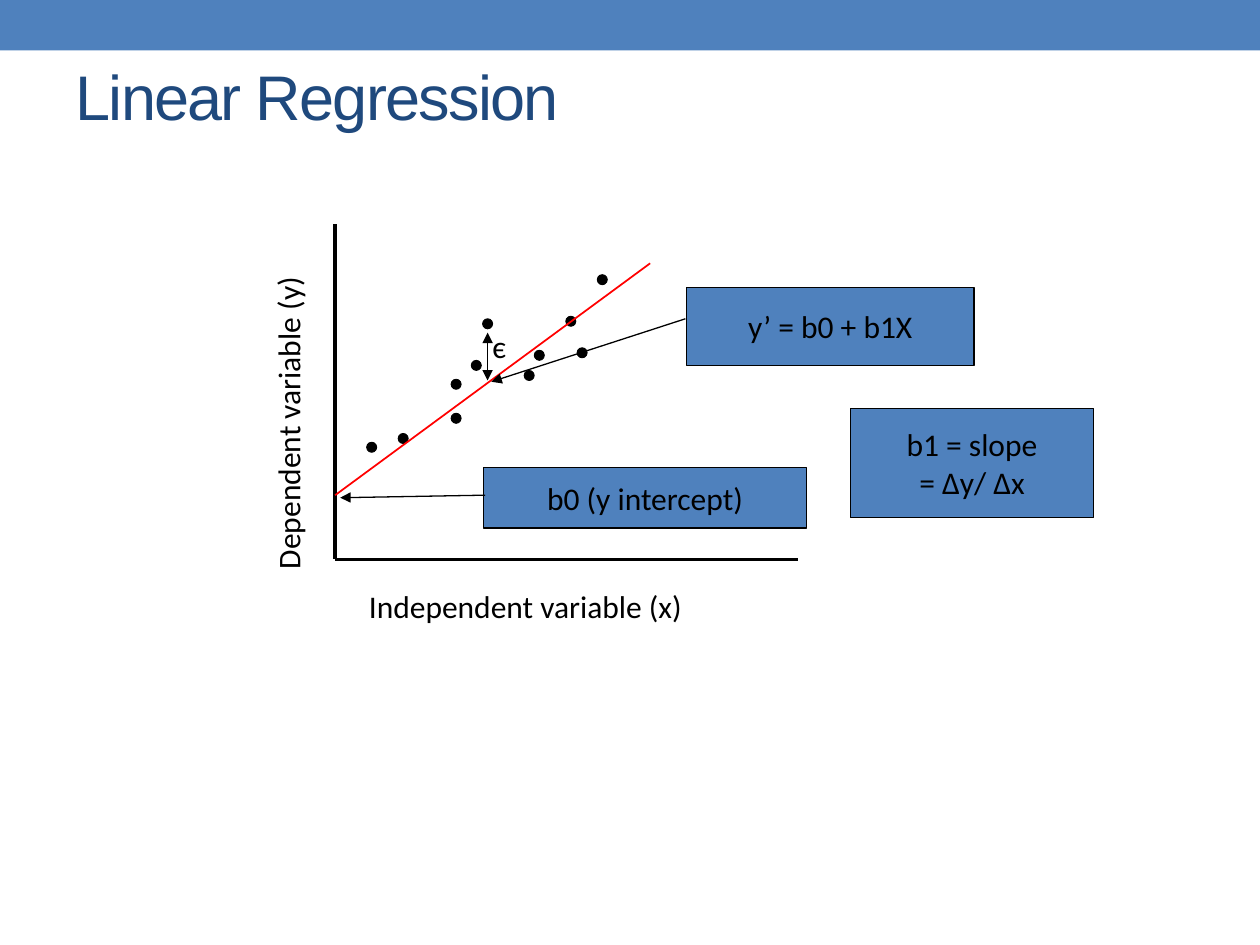
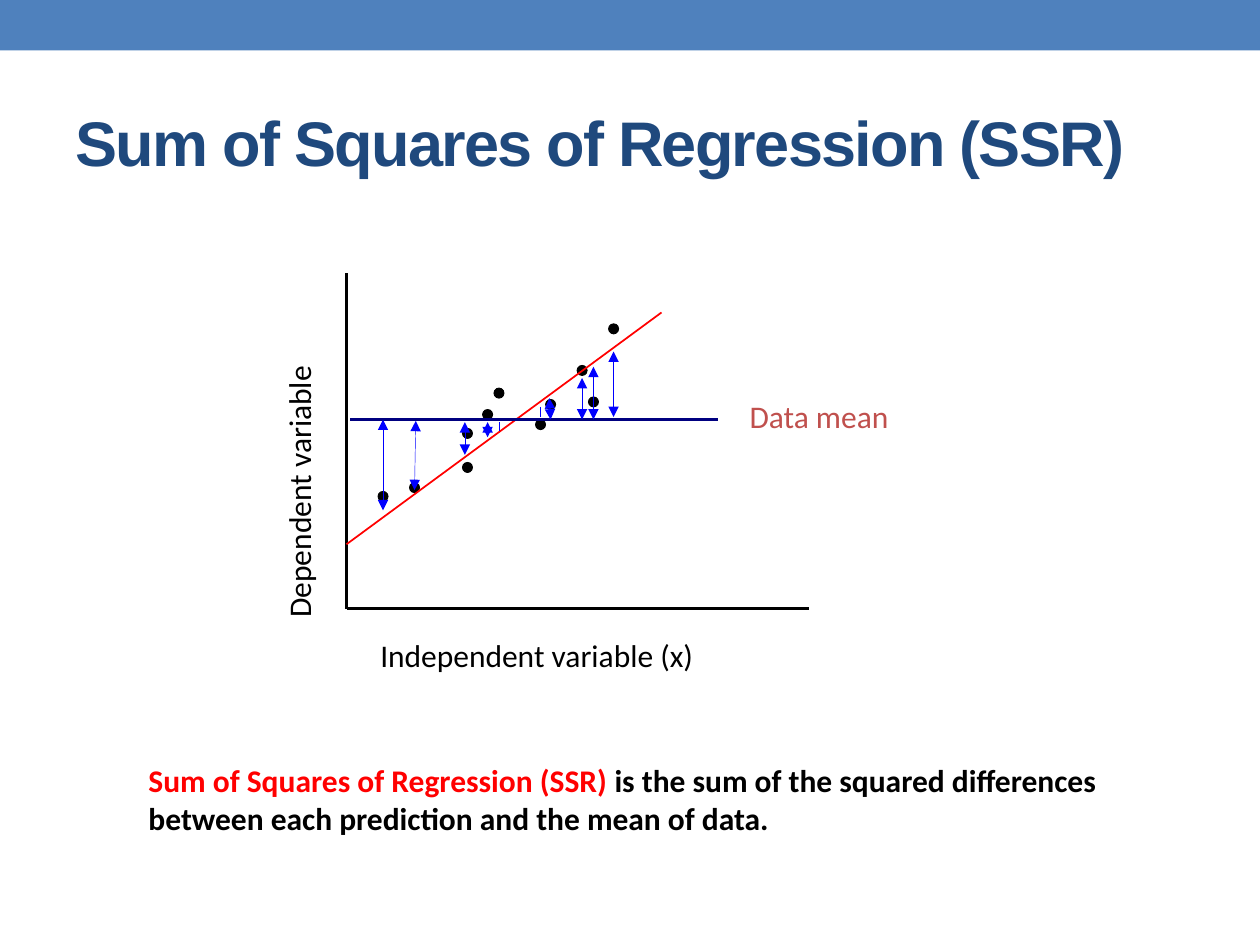
from lxml.etree import SubElement
from pptx import Presentation
from pptx.dml.color import RGBColor
from pptx.enum.shapes import MSO_CONNECTOR, MSO_SHAPE
from pptx.enum.text import MSO_ANCHOR, MSO_AUTO_SIZE, PP_ALIGN
from pptx.oxml.ns import qn
from pptx.util import Pt

PX = 9144
BLUE, NAVY, TITLE_BLUE = "4F81BD", "000080", "1F497D"
BLACK, RED, MEAN_RED, ARROW_BLUE = "000000", "FF0000", "C0504D", "0000FF"
color = RGBColor.from_string


def add_line(slide, start, end, line_color, width, arrows=()):
    line = slide.shapes.add_connector(
        MSO_CONNECTOR.STRAIGHT, *[value * PX for value in (*start, *end)])
    line.line.color.rgb = color(line_color)
    line.line.width = Pt(width)
    outline = line.line._get_or_add_ln()
    for arrow in arrows:
        SubElement(outline, qn(f"a:{arrow}"), type="triangle")
    SubElement(line.element.spPr, qn("a:effectLst"))


def add_text(slide, box, runs, wrap=True, bold=False):
    shape = slide.shapes.add_textbox(*[value * PX for value in box])
    shape.text_frame.word_wrap = wrap
    paragraph = shape.text_frame.paragraphs[0]
    paragraph.font.name = "Calibri"
    paragraph.font.size = Pt(18)
    paragraph.font.bold = bold
    for text, text_color in runs:
        run = paragraph.add_run()
        run.text = text
        run.font.color.rgb = color(text_color)
    return shape


presentation = Presentation()
presentation.slide_width = 1000 * PX
presentation.slide_height = 750 * PX
title_only = presentation.slide_layouts[5]

COMMON_DOTS = [(92, 150), (50, 166), (108, 108), (150, 116), (158, 100), (192, 98),
               (183, 73), (92, 123), (25, 173), (208, 40)]
PLOTS = [
    ("Linear Regression", (50, 43, 900, 66), False, (266, 178), (117, 75),
     "Dependent variable (y)", 287),
    ("Sum of Squares of Regression (SSR)", (50, 58, 900, 108), True, (275, 217), (117, 91),
     "Dependent variable", 266),
]

slides = []
for title_text, title_box, bold, (x, y), extra_dot, y_label, y_label_length in PLOTS:
    slide = presentation.slides.add_slide(title_only)
    slides.append(slide)

    title = slide.shapes.title
    title.left, title.top, title.width, title.height = [value * PX for value in title_box]
    title.text_frame.text = title_text
    title.text_frame.auto_size = MSO_AUTO_SIZE.NONE
    title.text_frame.vertical_anchor = MSO_ANCHOR.MIDDLE
    paragraph = title.text_frame.paragraphs[0]
    paragraph.alignment = PP_ALIGN.LEFT
    paragraph.font.name = "Arial"
    paragraph.font.size = Pt(36)
    paragraph.font.bold = bold
    paragraph.font.color.rgb = color(TITLE_BLUE)
    paragraph.runs[0].font._element.set("spc", "-100")

    add_line(slide, (x, y), (x, y + 266), BLACK, 2)
    add_line(slide, (x, y + 266), (x + 367, y + 266), BLACK, 2)
    for dot_x, dot_y in COMMON_DOTS + [extra_dot]:
        dot = slide.shapes.add_shape(
            MSO_SHAPE.OVAL, (x + dot_x) * PX, (y + dot_y) * PX, 8 * PX, 8 * PX)
        dot.shadow.inherit = False
        dot.fill.solid()
        dot.fill.fore_color.rgb = color(BLACK)
        dot.line.color.rgb = color(BLACK)
        dot.line.width = Pt(0.5)
    add_line(slide, (x, y + 215), (x + 250, y + 31), RED, 1)

    add_text(slide, (x + 17, y + 283, 290, 40), [("Independent variable (x)", BLACK)], wrap=False)
    y_label_box = (x - 38 - y_label_length // 2, y + 263 - y_label_length // 2,
                   y_label_length, 40)
    add_text(slide, y_label_box, [(y_label, BLACK)]).rotation = 270

regression_slide, ssr_slide = slides

band = regression_slide.shapes.add_shape(MSO_SHAPE.RECTANGLE, 0, 0, 1000 * PX, 40 * PX)
band.shadow.inherit = False
band.fill.solid()
band.fill.fore_color.rgb = color(BLUE)
band.line.fill.background()
presentation.slide_master.element.cSld.spTree.insert(2, band.element)

for box, lines in [
    ((545, 228, 228, 62), ["y’ = b0 + b1X"]),
    ((384, 371, 256, 48), ["b0 (y intercept)"]),
    ((675, 324, 193, 87), ["b1 = slope", "= ∆y/ ∆x"]),
]:
    callout = regression_slide.shapes.add_shape(
        MSO_SHAPE.RECTANGLE, *[value * PX for value in box])
    callout.shadow.inherit = False
    callout.fill.solid()
    callout.fill.fore_color.rgb = color(BLUE)
    callout.line.color.rgb = color(BLACK)
    callout.line.width = Pt(0.75)
    callout.text_frame.text = "\n".join(lines)
    callout.text_frame.word_wrap = False
    callout.text_frame.vertical_anchor = MSO_ANCHOR.MIDDLE
    for paragraph in callout.text_frame.paragraphs:
        paragraph.alignment = PP_ALIGN.CENTER
        paragraph.font.name = "Calibri"
        paragraph.font.size = Pt(18)
        paragraph.font.color.rgb = color(BLACK)

add_line(regression_slide, (544, 253), (390, 303), BLACK, 0.75, ["tailEnd"])
add_line(regression_slide, (385, 393), (270, 395), BLACK, 0.75, ["tailEnd"])
add_line(regression_slide, (387, 264), (387, 302), BLACK, 0.75, ["headEnd", "tailEnd"])
add_text(regression_slide, (381, 255, 33, 40), [("є", BLACK)])

add_line(ssr_slide, (278, 333), (570, 333), NAVY, 1.25)
add_text(ssr_slide, (585, 310, 138, 40), [("Data mean", MEAN_RED)], wrap=False)
for start, end in [
    ((487, 279), (487, 331)), ((462, 300), (462, 333)), ((387, 335), (387, 347)),
    ((304, 333), (304, 405)), ((330, 334), (329, 389)), ((369, 335), (369, 361)),
    ((471, 291), (471, 333)), ((436, 316), (437, 333)),
]:
    add_line(ssr_slide, start, end, ARROW_BLUE, 0.25, ["headEnd", "tailEnd"])
add_line(ssr_slide, (429, 323), (429, 331), ARROW_BLUE, 0.25)
add_line(ssr_slide, (396, 335), (396, 342), ARROW_BLUE, 0.25)
add_text(ssr_slide, (108, 599, 858, 71), [
    ("Sum of Squares of Regression (SSR)", RED),
    (" is the sum of the squared differences between each prediction and the mean of data.", BLACK),
], bold=True)

presentation.save("out.pptx")
